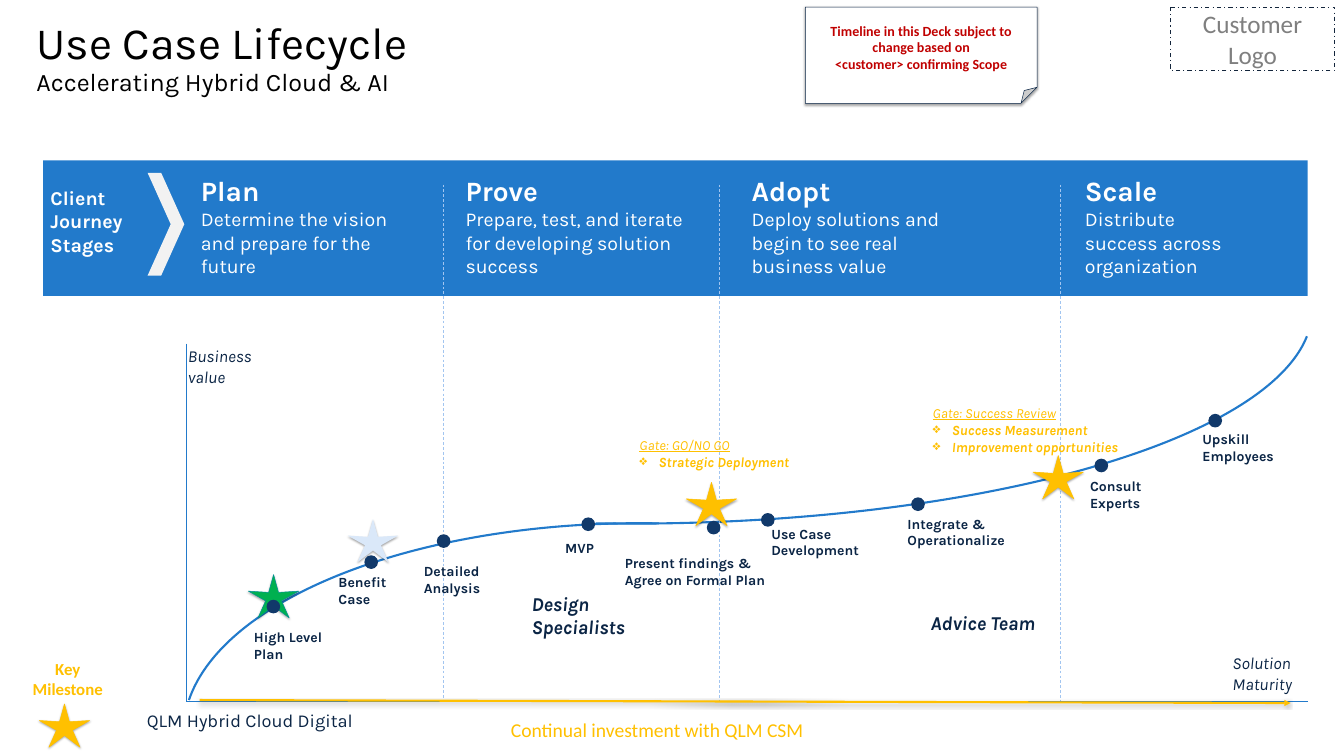
from dataclasses import dataclass
from typing import Optional

from lxml import etree
from pptx import Presentation
from pptx.dml.color import RGBColor
from pptx.enum.dml import MSO_LINE
from pptx.enum.shapes import MSO_CONNECTOR, MSO_SHAPE
from pptx.enum.text import MSO_ANCHOR, MSO_AUTO_SIZE, PP_ALIGN
from pptx.oxml.ns import qn
from pptx.util import Cm, Pt

BLUE = RGBColor(0x22, 0x7A, 0xCB)
PALE_BLUE = RGBColor(0xA2, 0xC5, 0xF0)
ICE = RGBColor(0xDA, 0xE8, 0xF9)
NAVY = RGBColor(0x0B, 0x25, 0x45)
DOT_BLUE = RGBColor(0x11, 0x39, 0x6A)
NOTE_LINE = RGBColor(0x09, 0x24, 0x45)
BOX_LINE = RGBColor(0x14, 0x26, 0x3C)
GOLD = RGBColor(0xFF, 0xC0, 0x00)
GREEN = RGBColor(0x00, 0xB0, 0x50)
TEAL = RGBColor(0x00, 0x91, 0x93)
RED = RGBColor(0xC0, 0x00, 0x00)
GRAY = RGBColor(0x7F, 0x7F, 0x7F)
LIGHT_GRAY = RGBColor(0xF2, 0xF2, 0xF2)
WHITE = RGBColor(0xFF, 0xFF, 0xFF)
BLACK = RGBColor(0, 0, 0)

LEFT, CENTER = PP_ALIGN.LEFT, PP_ALIGN.CENTER
TOP, MIDDLE = MSO_ANCHOR.TOP, MSO_ANCHOR.MIDDLE
DASH, DASH_DOT = MSO_LINE.DASH, MSO_LINE.DASH_DOT
ARC, RECT, CHEVRON = MSO_SHAPE.ARC, MSO_SHAPE.RECTANGLE, MSO_SHAPE.CHEVRON
OVAL, STAR = MSO_SHAPE.OVAL, MSO_SHAPE.STAR_5_POINT
NOTE, PROCESS = MSO_SHAPE.FOLDED_CORNER, MSO_SHAPE.FLOWCHART_PROCESS
STRAIGHT = MSO_CONNECTOR.STRAIGHT

DOT_SIZE = 0.69
AXIS_X, AXIS_Y = 9.39, 35.36


@dataclass(frozen=True)
class Style:
    size: float
    color: RGBColor
    bold: bool = False
    italic: bool = False
    underline: bool = False
    font: str = "Karla"
    align: PP_ALIGN = LEFT
    bullet: str = ""


@dataclass(frozen=True)
class Stage:
    name: str
    goal: str
    left: float
    width: float
    divider: Optional[float] = None


@dataclass(frozen=True)
class Milestone:
    lines: tuple
    x: float
    y: float
    left: float
    top: float
    width: float


STAGE_NAME = Style(40, WHITE, bold=True)
STAGE_GOAL = Style(28, WHITE)
STAGE_HEAD = Style(28, WHITE, bold=True)
LABEL = Style(20, NAVY, bold=True)
AXIS = Style(24, NAVY, italic=True)
TEAM = Style(28, NAVY, bold=True, italic=True)
GATE = Style(20, GOLD, italic=True, underline=True)
GATE_ITEM = Style(20, GOLD, bold=True, italic=True, bullet="❖")
KEY = Style(24, GOLD, bold=True, font="Calibri", align=CENTER)
INVESTMENT = Style(28, GOLD, font="Calibri")
NOTICE = Style(20, RED, bold=True, font="Calibri", align=CENTER)
LOGO = Style(36, GRAY, font="Calibri", align=CENTER)
FOOTER = Style(26, NAVY, align=CENTER)

STAGES = [
    Stage("Plan", "Determine the vision and prepare for the future", 9.88, 11.33, 22.35),
    Stage("Prove", "Prepare, test, and iterate for developing solution success", 23.22, 12.29, 36.27),
    Stage("Adopt", "Deploy solutions and begin to see real business value", 37.64, 11.61, 53.42),
    Stage("Scale", "Distribute success across organization", 54.43, 8.69),
]
MILESTONES = [
    Milestone(("High Level", "Plan"), 13.78, 30.57, 12.55, 31.55, 8.08),
    Milestone(("Benefit", "Case"), 18.71, 28.33, 16.81, 28.78, 6.53),
    Milestone(("Detailed", "Analysis"), 22.36, 27.27, 21.11, 28.24, 4.45),
    Milestone(("MVP",), 29.65, 26.42, 28.24, 27.05, 3.81),
    Milestone(("Present findings &", "Agree on Formal Plan"), 35.97, 26.59, 31.24, 27.84, 8.86),
    Milestone(("Use Case", "Development"), 38.7, 26.2, 38.63, 26.34, 7.59),
    Milestone(("Integrate &", "Operationalize"), 46.27, 25.41, 45.49, 25.83, 8.1),
    Milestone(("Consult", "Experts"), 55.51, 23.46, 54.69, 23.95, 5.89),
    Milestone(("Upskill", "Employees"), 61.25, 21.2, 60.35, 21.56, 6.65),
]


def write(tf, lines, wrap=True, anchor=TOP):
    tf.word_wrap = wrap
    tf.vertical_anchor = anchor
    tf.text = "\n".join(text for text, _ in lines)
    for p, (_, style) in zip(tf.paragraphs, lines):
        p.alignment = style.align
        if style.bullet:
            pPr = p._p.get_or_add_pPr()
            pPr.set("marL", str(Cm(0.97)))
            pPr.set("indent", str(-Cm(0.97)))
            etree.SubElement(pPr, qn("a:buChar"), char=style.bullet)
        for r in p.runs:
            r.font.name, r.font.size = style.font, Pt(style.size)
            r.font.bold, r.font.italic = style.bold, style.italic
            r.font.underline = style.underline
            r.font.color.rgb = style.color


def add_text(slide, x: float, y: float, w: float, h: float, lines, wrap=True):
    box = slide.shapes.add_textbox(Cm(x), Cm(y), Cm(w), Cm(h))
    write(box.text_frame, lines, wrap)
    return box


def add_shadow(sp):
    effects = sp._element.spPr.find(qn("a:effectLst"))
    outer = etree.SubElement(effects, qn("a:outerShdw"), blurRad=str(Pt(3.1)),
                             dist=str(Pt(1.8)), dir="5400000", rotWithShape="0")
    color = etree.SubElement(outer, qn("a:srgbClr"), val="000000")
    etree.SubElement(color, qn("a:alpha"), val="35000")


def add_shape(slide, kind, x: float, y: float, w: float, h: float,
              fill=None, line=None, weight=0.75, adjust=(), shadow=False):
    sp = slide.shapes.add_shape(kind, Cm(x), Cm(y), Cm(w), Cm(h))
    for i, value in enumerate(adjust):
        sp.adjustments[i] = value
    if fill is None:
        sp.fill.background()
    else:
        sp.fill.solid()
        sp.fill.fore_color.rgb = fill
    if line is None:
        sp.line.fill.background()
    else:
        sp.line.color.rgb, sp.line.width = line, Pt(weight)
    sp.shadow.inherit = False
    if shadow:
        add_shadow(sp)
    return sp


def add_curve(slide, x: float, y: float, w: float, h: float, angles, flip: str):
    sp = add_shape(slide, ARC, x, y, w, h, line=BLUE, weight=3, adjust=angles)
    sp._element.spPr.find(qn("a:xfrm")).set(flip, "1")


def add_star(slide, x: float, y: float, fill, line=None):
    add_shape(slide, STAR, x, y, 2.54, 2.18, fill, line, adjust=(0.158,), shadow=True)


def add_line(slide, x1: float, y1: float, x2: float, y2: float, color, weight=1.0, dash=None):
    cn = slide.shapes.add_connector(STRAIGHT, Cm(x1), Cm(y1), Cm(x2), Cm(y2))
    cn.line.color.rgb, cn.line.width = color, Pt(weight)
    if dash is not None:
        cn.line.dash_style = dash
    etree.SubElement(cn._element.spPr, qn("a:effectLst"))
    return cn


def add_title(slide):
    title = slide.shapes.title
    title.left, title.top, title.width, title.height = Cm(1.83), Cm(1.07), Cm(38), Cm(4.45)
    tf = title.text_frame
    tf.margin_left = tf.margin_right = tf.margin_top = tf.margin_bottom = 0
    tf.auto_size = MSO_AUTO_SIZE.NONE
    write(tf, [("Use Case Lifecycle", Style(64, BLACK)),
               ("Accelerating Hybrid Cloud & AI", Style(36, BLACK))])
    for p in tf.paragraphs:
        p.line_spacing, p.space_before = 0.9, Pt(0)


def add_stages(slide):
    add_shape(slide, RECT, 2.18, 8.08, 63.73, 6.83, BLUE)
    add_text(slide, 2.29, 9.22, 4.32, 3.84,
             [(word, STAGE_HEAD) for word in ("Client", "Journey", "Stages")], wrap=False)
    add_shape(slide, CHEVRON, 7.44, 8.71, 1.85, 5.18, LIGHT_GRAY, adjust=(0.63,))
    for stage in STAGES:
        add_text(slide, stage.left, 8.61, stage.width, 5.56,
                 [(stage.name, STAGE_NAME), (stage.goal, STAGE_GOAL)])
        if stage.divider is not None:
            add_line(slide, stage.divider, 9.3, stage.divider, AXIS_Y, PALE_BLUE, dash=DASH)


def add_axes(slide):
    add_line(slide, AXIS_X, 17.32, AXIS_X, AXIS_Y, BLUE)
    add_line(slide, 65.91, AXIS_Y, AXIS_X, AXIS_Y, BLUE)
    add_text(slide, 9.22, 17.32, 4.06, 2.31, [("Business", AXIS), ("value", AXIS)], wrap=False)
    add_text(slide, 61.87, 32.79, 3.84, 2.31, [("Solution", AXIS), ("Maturity", AXIS)], wrap=False)
    arrow = add_line(slide, 10.06, 35.28, 65.05, 35.43, GOLD, 3)
    add_shadow(arrow)
    etree.SubElement(arrow.line._get_or_add_ln(), qn("a:tailEnd"), type="triangle")
    add_text(slide, 25.5, 36.07, 20.93, 1.45, [("Continual investment with QLM CSM", INVESTMENT)])


def add_milestones(slide):
    add_star(slide, 12.52, 28.96, GREEN, TEAL)
    add_star(slide, 17.53, 26.16, ICE)
    for m in MILESTONES:
        add_shape(slide, OVAL, m.x - DOT_SIZE / 2, m.y - DOT_SIZE / 2, DOT_SIZE, DOT_SIZE, DOT_BLUE)
        add_text(slide, m.left, m.top, m.width, 1.96, [(line, LABEL) for line in m.lines])
    for x, y in ((1.98, 35.48), (34.59, 24.31), (52.07, 22.96)):
        add_star(slide, x, y, GOLD, GOLD)
    add_text(slide, 1.37, 33.05, 4.09, 2.31, [("Key", KEY), ("Milestone", KEY)], wrap=False)
    add_text(slide, 31.98, 21.89, 9.32, 1.96,
             [("Gate: GO/NO GO", GATE), ("Strategic Deployment", GATE_ITEM)])
    add_text(slide, 46.76, 20.27, 11, 2.82,
             [("Gate: Success Review", GATE), ("Success Measurement", GATE_ITEM),
              ("Improvement opportunities", GATE_ITEM)])


def main():
    prs = Presentation()
    prs.slide_width, prs.slide_height = Cm(67.74), Cm(38.1)
    slide = prs.slides.add_slide(prs.slide_layouts[5])
    add_title(slide)
    footer = add_text(slide, 1.02, 35.41, 23.16, 1.8, [("QLM Hybrid Cloud Digital", FOOTER)])
    tf = footer.text_frame
    tf.margin_left = tf.margin_right = Cm(0.69)
    tf.margin_top = tf.margin_bottom = Cm(0.33)
    add_curve(slide, 9.25, 26.37, 45.95, 21.06, (158.78, 213.55), "flipH")
    add_curve(slide, -2.57, 4.83, 68.71, 21.56, (156.43, 214.65), "flipV")
    add_stages(slide)
    add_axes(slide)
    add_milestones(slide)
    add_text(slide, 26.54, 29.69, 6.35, 2.64, [("Design Specialists", TEAM)])
    add_text(slide, 46.66, 30.66, 6.35, 1.45, [("Advice Team", TEAM)])
    notice = add_shape(slide, NOTE, 40.59, 0.36, 11.68, 4.85, WHITE, NOTE_LINE, shadow=True)
    write(notice.text_frame, [("Timeline in this Deck subject to change based on", NOTICE),
                              ("<customer> confirming Scope", NOTICE)], anchor=MIDDLE)
    logo = add_shape(slide, PROCESS, 59, 0.36, 8.26, 3.2, line=BOX_LINE, weight=1.5)
    logo.line.dash_style = DASH_DOT
    write(logo.text_frame, [("Customer", LOGO), ("Logo", LOGO)], anchor=MIDDLE)
    prs.save("out.pptx")


if __name__ == "__main__":
    main()
